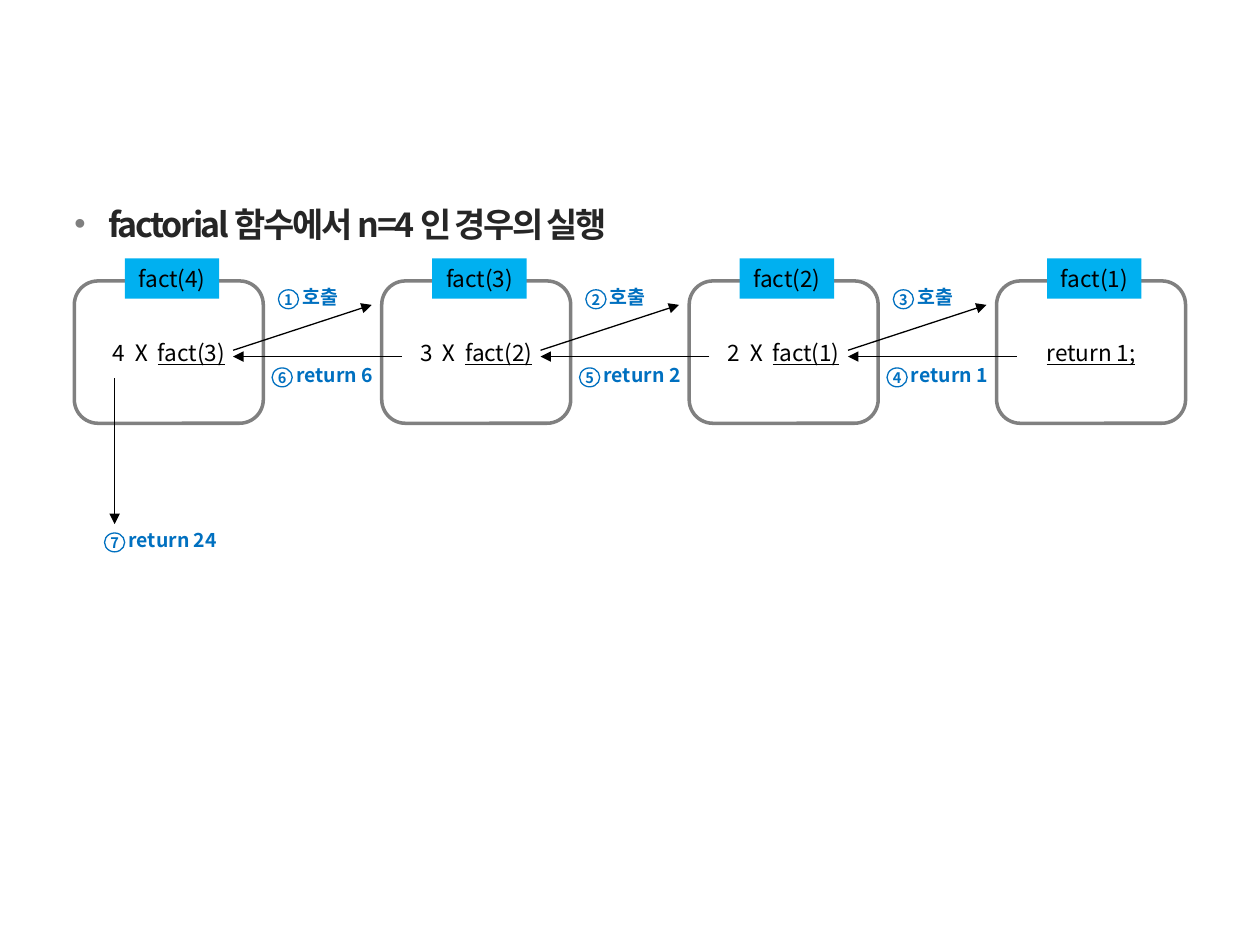
from lxml import etree
from pptx import Presentation
from pptx import util as u
from pptx.dml.color import RGBColor
from pptx.enum import shapes, text
from pptx.oxml import ns

FONT = "Noto Sans CJK KR"
COLORS = {
    "heading": "262626",
    "bullet": "7F7F7F",
    "frame": "808080",
    "tag": "00B0F0",
    "step": "0070C0",
    "ink": "000000",
    "paper": "FFFFFF",
}
PITCH = 2.44


def add_child(parent, tag, **attributes):
    return etree.SubElement(parent, ns.qn(tag), attributes)


class Diagram:
    def __init__(self, slide):
        self.slide = slide

    def color(self, name):
        return RGBColor.from_string(COLORS[name])

    def span(self, para, words, size, color, bold=False, underline=False):
        span = para.add_run()
        span.text = words
        font = span.font
        font.name = FONT
        font.size = u.Pt(size)
        font.bold = bold
        font.underline = underline
        font.color.rgb = self.color(color)
        add_child(font._element, "a:ea", typeface=FONT)
        return span

    def frame_para(self, box, align):
        frame = box.text_frame
        frame.word_wrap = True
        frame.vertical_anchor = text.MSO_ANCHOR.MIDDLE
        frame.margin_left = frame.margin_right = 0
        frame.margin_top = frame.margin_bottom = 0
        para = frame.paragraphs[0]
        para.alignment = align
        return para

    def heading(self, words):
        title = self.slide.shapes.title
        title.left, title.top = u.Inches(0.49), u.Inches(1.5)
        title.width, title.height = u.Inches(9), u.Inches(0.49)
        frame = title.text_frame
        frame.word_wrap = True
        frame.auto_size = text.MSO_AUTO_SIZE.NONE
        frame.vertical_anchor = text.MSO_ANCHOR.TOP
        para = frame.paragraphs[0]
        para.alignment = text.PP_ALIGN.LEFT
        para.line_spacing = 1.2
        properties = para._p.get_or_add_pPr()
        properties.set("marL", str(u.Inches(0.27)))
        properties.set("indent", str(u.Inches(-0.27)))
        before = add_child(properties, "a:spcBef")
        add_child(before, "a:spcPct", val="30000")
        bullet_color = add_child(properties, "a:buClr")
        add_child(bullet_color, "a:srgbClr", val=COLORS["bullet"])
        add_child(properties, "a:buSzPct", val="95000")
        add_child(properties, "a:buFont", typeface="Arial")
        add_child(properties, "a:buChar", char="•")
        span = self.span(para, words, 19.4, "heading", bold=True)
        span.font._element.set("spc", "-140")

    def shape(self, kind, left, top, width, height, fill=None, line=None, weight=0.75):
        box = self.slide.shapes.add_shape(
            kind, u.Inches(left), u.Inches(top), u.Inches(width), u.Inches(height))
        box.shadow.inherit = False
        if fill:
            box.fill.solid()
            box.fill.fore_color.rgb = self.color(fill)
        else:
            box.fill.background()
        if line:
            box.line.color.rgb = self.color(line)
            box.line.width = u.Pt(weight)
        else:
            box.line.fill.background()
        return self.frame_para(box, text.PP_ALIGN.CENTER)

    def call_box(self, left, name, factor, result):
        para = self.shape(shapes.MSO_SHAPE.ROUNDED_RECTANGLE, left, 2.23, 1.5, 1.13,
                          line="frame", weight=2)
        if factor:
            self.span(para, factor, 12.9, "ink")
        self.span(para, result, 12.9, "ink", underline=True)
        para = self.shape(shapes.MSO_SHAPE.RECTANGLE, left + 0.4, 2.05, 0.75, 0.32,
                          fill="tag")
        self.span(para, name, 12.9, "ink")

    def step(self, left, top, number, words, width):
        para = self.shape(shapes.MSO_SHAPE.OVAL, left, top, 0.16, 0.15,
                          fill="paper", line="step")
        self.span(para, str(number), 8.3, "step", bold=True)
        box = self.slide.shapes.add_textbox(
            u.Inches(left + 0.19), u.Inches(top - 0.04), u.Inches(width), u.Inches(0.19))
        para = self.frame_para(box, text.PP_ALIGN.LEFT)
        self.span(para, words, 11.1, "step", bold=True)

    def arrow(self, x1, y1, x2, y2):
        line = self.slide.shapes.add_connector(
            shapes.MSO_CONNECTOR.STRAIGHT,
            u.Inches(x1), u.Inches(y1), u.Inches(x2), u.Inches(y2))
        line.line.color.rgb = self.color("ink")
        line.line.width = u.Pt(0.75)
        add_child(line.line._get_or_add_ln(), "a:tailEnd", type="triangle")
        add_child(line._element.spPr, "a:effectLst")


def main():
    deck = Presentation()
    deck.slide_width, deck.slide_height = u.Inches(10), u.Inches(7.5)
    page = deck.slides.add_slide(deck.slide_layouts[5])
    diagram = Diagram(page)
    diagram.heading("factorial 함수에서 n=4 인 경우의 실행")

    calls = [
        ("fact(4)", "4 Ⅹ ", "fact(3)"),
        ("fact(3)", "3 Ⅹ ", "fact(2)"),
        ("fact(2)", "2 Ⅹ ", "fact(1)"),
        ("fact(1)", "", "return 1;"),
    ]
    for index, (name, factor, result) in enumerate(calls):
        diagram.call_box(0.59 + index * PITCH, name, factor, result)

    for index, value in enumerate((6, 2, 1)):
        shift = index * PITCH
        diagram.step(2.21 + shift, 2.3, index + 1, "호출", 0.47)
        diagram.arrow(1.85 + shift, 2.78, 2.95 + shift, 2.42)
        diagram.arrow(3.19 + shift, 2.83, 1.85 + shift, 2.83)
        diagram.step(2.16 + shift, 2.92, 6 - index, f"return {value}", 0.69)

    diagram.step(0.83, 4.23, 7, "return 24", 0.83)
    diagram.arrow(0.91, 3, 0.91, 4.16)
    deck.save("out.pptx")


if __name__ == "__main__":
    main()
